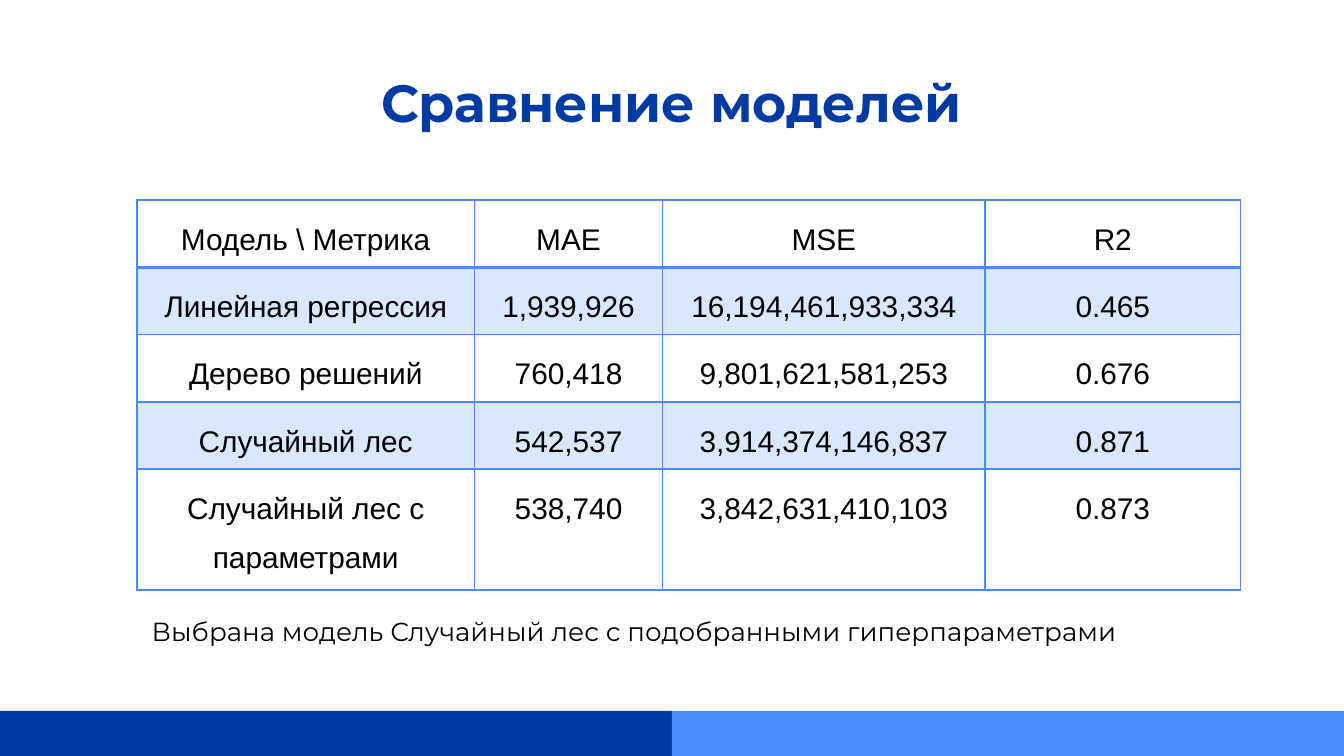
from typing import NamedTuple

from lxml.etree import SubElement
from pptx import Presentation
from pptx.dml.color import RGBColor
from pptx.enum.shapes import MSO_SHAPE as Shape
from pptx.enum.text import MSO_ANCHOR as Anchor, PP_ALIGN as Align
from pptx.oxml.ns import qn
from pptx.util import Inches, Pt

NAVY, BLUE, BLACK = "003BA3", "4A8CFF", "000000"
SLIDE_WIDTH = 10
SLIDE_HEIGHT = SLIDE_WIDTH * 9 / 16


class Box(NamedTuple):
    left: float
    top: float
    width: float
    height: float

    def lengths(self):
        return [Inches(value) for value in self]


class ModelScore(NamedTuple):
    model: str
    mae: str
    mse: str
    r2: str


HEADER = ModelScore("Модель \\ Метрика", "MAE", "MSE", "R2")
SCORES = [
    ModelScore("Линейная регрессия", "1,939,926", "16,194,461,933,334", "0.465"),
    ModelScore("Дерево решений", "760,418", "9,801,621,581,253", "0.676"),
    ModelScore("Случайный лес", "542,537", "3,914,374,146,837", "0.871"),
    ModelScore("Случайный лес с параметрами", "538,740", "3,842,631,410,103", "0.873"),
]
COLUMN_WIDTHS = [2.51, 1.4, 2.4, 1.9]
ROW_HEIGHT = 0.41


def set_color(target, color: str) -> None:
    """Apply a hex colour to a fill (made solid first) or to a font."""
    if hasattr(target, "solid"):
        target.solid()
        target.fore_color.rgb = RGBColor.from_string(color)
    else:
        target.color.rgb = RGBColor.from_string(color)


def write_text(frame, text: str, *, size: float, font: str = "Montserrat", color: str = BLACK,
               bold: bool = False, align=Align.LEFT, spacing: float = 1.0) -> None:
    paragraph = frame.paragraphs[0]
    paragraph.alignment = align
    paragraph.line_spacing = spacing
    run = paragraph.add_run()
    run.text = text
    run.font.name = font
    run.font.size = Pt(size)
    run.font.bold = bold
    set_color(run.font, color)


def add_text(slide, box: Box, text: str, **text_format) -> None:
    frame = slide.shapes.add_textbox(*box.lengths()).text_frame
    frame.word_wrap = True
    frame.vertical_anchor = Anchor.TOP
    frame.margin_left = frame.margin_right = Inches(0.1)
    frame.margin_top = frame.margin_bottom = Inches(0.1)
    write_text(frame, text, **text_format)


def add_bar(slide, box: Box, color: str) -> None:
    bar = slide.shapes.add_shape(Shape.RECTANGLE, *box.lengths())
    bar.shadow.inherit = False
    set_color(bar.fill, color)
    bar.line.fill.background()


def set_borders(cell, color: str, top: float, bottom: float) -> None:
    """Draw four solid borders; must run before the cell fill is set."""
    properties = cell._tc.get_or_add_tcPr()
    for side, width in (("L", 1), ("R", 1), ("T", top), ("B", bottom)):
        line = SubElement(properties, qn(f"a:ln{side}"), w=str(Pt(width)))
        fill = SubElement(line, qn("a:solidFill"))
        SubElement(fill, qn("a:srgbClr"), val=color)


def set_tint(cell, color: str, percent: int) -> None:
    """Fill a cell with a partly transparent colour."""
    set_color(cell.fill, color)
    color_element = cell._tc.tcPr.find(qn("a:solidFill")).find(qn("a:srgbClr"))
    SubElement(color_element, qn("a:alpha"), val=str(percent * 1000))


def add_score_table(slide, box: Box) -> None:
    rows = [HEADER, *SCORES]
    table_frame = slide.shapes.add_table(len(rows), len(COLUMN_WIDTHS), *box.lengths())
    table = table_frame.table
    table.first_row = table.horz_banding = False
    for column, width in zip(table.columns, COLUMN_WIDTHS):
        column.width = Inches(width)
    for row_index, row in enumerate(rows):
        table.rows[row_index].height = Inches(ROW_HEIGHT)
        for column_index, text in enumerate(row):
            cell = table.cell(row_index, column_index)
            write_text(cell.text_frame, text, size=16, font="Arial",
                       align=Align.CENTER, spacing=1.5)
            set_borders(cell, BLUE, top=2 if row_index == 1 else 1,
                        bottom=2 if row_index == 0 else 1)
            if row_index % 2:
                set_tint(cell, BLUE, 20)
            else:
                cell.fill.background()
    # Sizing rows and columns resizes the frame, so its own size is set last.
    table_frame.width, table_frame.height = Inches(box.width), Inches(box.height)


def main() -> None:
    presentation = Presentation()
    presentation.slide_width = Inches(SLIDE_WIDTH)
    presentation.slide_height = Inches(SLIDE_HEIGHT)
    slide = presentation.slides.add_slide(presentation.slide_layouts[6])

    bar_top, bar_width = 5.29, SLIDE_WIDTH / 2
    for index, color in enumerate((NAVY, BLUE)):
        add_bar(slide, Box(bar_width * index, bar_top, bar_width, SLIDE_HEIGHT - bar_top), color)
    add_text(slide, Box(0.78, 0.42, 8.43, 0.55), "Сравнение моделей",
             size=28, color=NAVY, bold=True, align=Align.CENTER)
    add_score_table(slide, Box(1.02, 1.49, 8.2, 2.65))
    add_text(slide, Box(1.03, 4.36, 8.97, 0.59),
             "Выбрана модель Случайный лес с подобранными гиперпараметрами",
             size=14, spacing=1.5)
    presentation.save("out.pptx")


if __name__ == "__main__":
    main()
